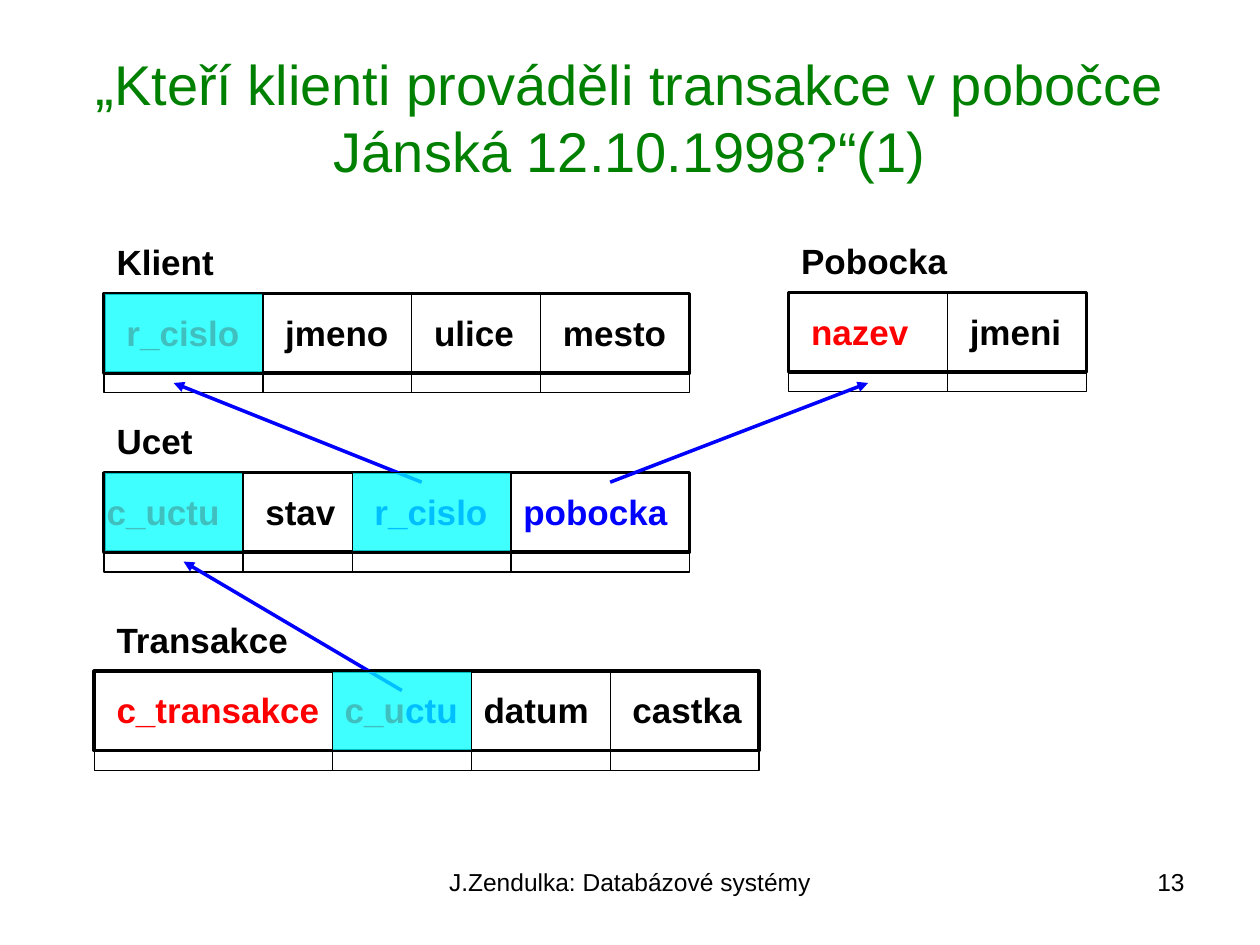
from dataclasses import dataclass
from itertools import accumulate

from lxml import etree
from pptx import Presentation
from pptx.dml.color import RGBColor
from pptx.enum.shapes import MSO_CONNECTOR, MSO_SHAPE
from pptx.enum.text import MSO_ANCHOR, MSO_AUTO_SIZE, PP_ALIGN
from pptx.oxml.ns import qn
from pptx.slide import Slide
from pptx.text.text import TextFrame
from pptx.util import Inches, Pt

STRAIGHT = MSO_CONNECTOR.STRAIGHT
RECTANGLE = MSO_SHAPE.RECTANGLE
MIDDLE = MSO_ANCHOR.MIDDLE
NO_AUTOFIT = MSO_AUTO_SIZE.NONE
FIT_SHAPE = MSO_AUTO_SIZE.SHAPE_TO_FIT_TEXT
LEFT, CENTER, RIGHT = PP_ALIGN.LEFT, PP_ALIGN.CENTER, PP_ALIGN.RIGHT

COLORS = {"text": "000000", "title": "008000", "primary": "FF0000",
          "foreign": "0000FF", "highlight": "00FFFF"}
FONT = "Arial"
SLIDE_WIDTH, SLIDE_HEIGHT = Inches(10), Inches(7.5)
UNIT = SLIDE_WIDTH / 127
HEADER_ROWS, BODY_ROWS, LABEL_ROWS = 8, 2, 5.6
HIGHLIGHT_OPACITY = "75000"


@dataclass
class Run:
    text: str
    color: str = "text"


@dataclass
class Column:
    width: float
    runs: list[Run]
    label_width: float
    indent: float = 1
    highlighted: bool = False


@dataclass
class Relation:
    name: str
    name_width: float
    left: float
    top: float
    columns: list[Column]
    name_indent: float = 0

    def edges(self) -> list[float]:
        return list(accumulate((column.width for column in self.columns), initial=self.left))


@dataclass
class Reference:
    start: tuple[float, float]
    end: tuple[float, float]


RELATIONS = [
    Relation("Klient", 13, 10.5, 29.6, [
        Column(16, [Run("r_cislo", "primary")], 14),
        Column(15, [Run("jmeno")], 13.2),
        Column(13, [Run("ulice")], 11),
        Column(15, [Run("mesto")], 13.2)]),
    Relation("Pobocka", 18, 79.5, 29.5, [
        Column(16, [Run("nazev", "primary")], 12.8),
        Column(14, [Run("jmeni")], 12.2)]),
    Relation("Ucet", 11, 10.5, 47.65, [
        Column(14, [Run("c_uctu", "primary")], 14, -1, True),
        Column(11, [Run("stav")], 10),
        Column(16, [Run("r_cislo", "foreign")], 14, highlighted=True),
        Column(18, [Run("pobocka", "foreign")], 17.5, 0)]),
    Relation("Transakce", 21, 9.5, 67.65, [
        Column(24, [Run("c_transakce", "primary")], 23.2),
        Column(14, [Run("c_u", "primary"), Run("ctu", "foreign")], 14, 0, True),
        Column(14, [Run("datum")], 13.5, 0),
        Column(15, [Run("castka")], 14)], name_indent=1),
]
RELATIONS[0].columns[0].highlighted = True
REFERENCES = [
    Reference((40.5, 69.6), (18.5, 56.6)),
    Reference((42.5, 48.6), (17.5, 38.6)),
    Reference((61.5, 48.6), (87.5, 38.6)),
]


def grid(*values: float) -> list[int]:
    return [round(value * UNIT) for value in values]


def rgb(name: str) -> RGBColor:
    return RGBColor.from_string(COLORS[name])


def write(frame: TextFrame, runs: list[Run], size: float, bold: bool = False,
          alignment: PP_ALIGN = LEFT) -> None:
    paragraph = frame.paragraphs[0]
    paragraph.alignment = alignment
    for item in runs:
        run = paragraph.add_run()
        run.text = item.text
        run.font.name = FONT
        run.font.size = Pt(size)
        run.font.bold = bold
        run.font.color.rgb = rgb(item.color)


def add_label(slide: Slide, left: float, top: float, width: float, runs: list[Run]) -> None:
    frame = slide.shapes.add_textbox(*grid(left, top, width, LABEL_ROWS)).text_frame
    frame.word_wrap = True
    frame.auto_size = FIT_SHAPE
    write(frame, runs, 20, bold=True)


def add_box(slide: Slide, left: float, top: float, width: float, height: float,
            weight: float, fill: str | None = None) -> None:
    shape = slide.shapes.add_shape(RECTANGLE, *grid(left, top, width, height))
    shape.shadow.inherit = False
    shape.line.color.rgb = rgb("text")
    shape.line.width = Pt(weight)
    if fill is None:
        shape.fill.background()
        return
    shape.fill.solid()
    shape.fill.fore_color.rgb = rgb(fill)
    color = shape.fill._xPr.find(qn("a:solidFill")).find(qn("a:srgbClr"))
    etree.SubElement(color, qn("a:alpha"), val=HIGHLIGHT_OPACITY)


def add_line(slide: Slide, start: tuple[float, float], end: tuple[float, float],
             color: str, weight: float, arrow: bool = False) -> None:
    connector = slide.shapes.add_connector(STRAIGHT, *grid(*start, *end))
    connector.line.color.rgb = rgb(color)
    connector.line.width = Pt(weight)
    if arrow:
        etree.SubElement(connector.line._get_or_add_ln(), qn("a:tailEnd"), type="triangle")
    etree.SubElement(connector._element.spPr, qn("a:effectLst"))


def draw_relation(slide: Slide, relation: Relation) -> None:
    edges = relation.edges()
    width = edges[-1] - relation.left
    body_top = relation.top + HEADER_ROWS
    add_box(slide, relation.left, relation.top, width, HEADER_ROWS, 2)
    add_box(slide, relation.left, body_top, width, BODY_ROWS, 0.75)
    for left, column in zip(edges, relation.columns):
        add_label(slide, left + column.indent, relation.top + 1.15,
                  column.label_width, column.runs)
    for edge in edges[1:-1]:
        add_line(slide, (edge, relation.top), (edge, body_top + BODY_ROWS), "text", 0.75)
    add_label(slide, relation.left + relation.name_indent, relation.top - 5.95,
              relation.name_width, [Run(relation.name)])


def draw_highlights(slide: Slide, relation: Relation) -> None:
    for left, column in zip(relation.edges(), relation.columns):
        if column.highlighted:
            add_box(slide, left, relation.top, column.width, HEADER_ROWS, 0.75, "highlight")


def add_footer(slide: Slide, left: float, width: float, text: str, alignment: PP_ALIGN) -> None:
    box = slide.shapes.add_textbox(round(SLIDE_WIDTH * left), Inches(6.83),
                                   round(SLIDE_WIDTH * width), Inches(0.52))
    box.text_frame.word_wrap = True
    write(box.text_frame, [Run(text)], 14, alignment=alignment)


def add_title(slide: Slide, text: str) -> None:
    title = slide.shapes.title
    title.left, title.top = round(SLIDE_WIDTH * 0.05), round(SLIDE_HEIGHT * 0.04)
    title.width, title.height = round(SLIDE_WIDTH * 0.9), Inches(1.25)
    title.text_frame.auto_size = NO_AUTOFIT
    title.text_frame.vertical_anchor = MIDDLE
    write(title.text_frame, [Run(text, "title")], 32, alignment=CENTER)


def main() -> None:
    presentation = Presentation()
    presentation.slide_width, presentation.slide_height = SLIDE_WIDTH, SLIDE_HEIGHT
    slide = presentation.slides.add_slide(presentation.slide_layouts[5])
    add_footer(slide, 0.34, 0.32, "J.Zendulka: Databázové systémy", CENTER)
    add_footer(slide, 0.72, 0.23, "13", RIGHT)
    add_title(slide, "„Kteří klienti prováděli transakce v pobočce Jánská 12.10.1998?“(1)")
    for relation in RELATIONS:
        draw_relation(slide, relation)
    for reference in REFERENCES:
        add_line(slide, reference.start, reference.end, "foreign", 2, arrow=True)
    for relation in RELATIONS:
        draw_highlights(slide, relation)
    presentation.save("out.pptx")


if __name__ == "__main__":
    main()
